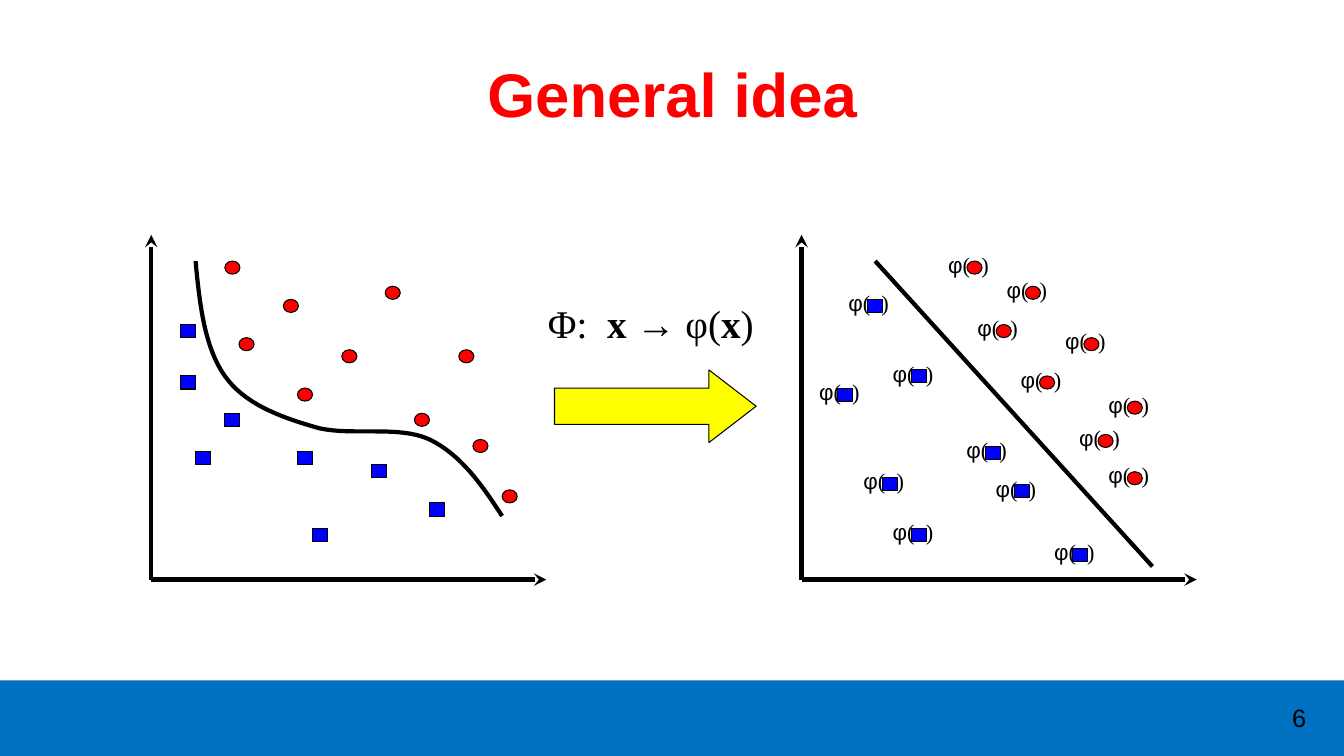
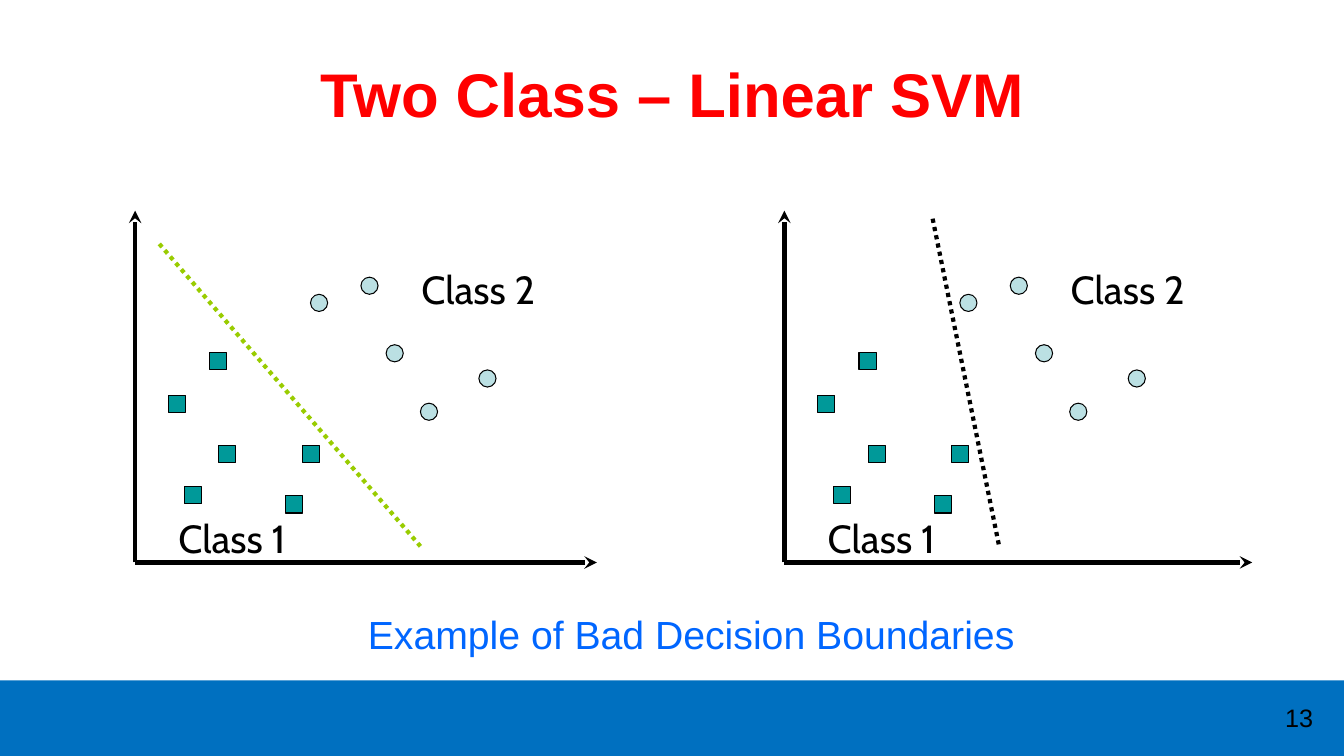
from lxml import etree
from pptx import Presentation
from pptx.dml.color import RGBColor
from pptx.enum.dml import MSO_LINE
from pptx.enum.shapes import MSO_CONNECTOR, MSO_SHAPE
from pptx.enum.text import MSO_ANCHOR, PP_ALIGN
from pptx.oxml.ns import qn
from pptx.util import Inches, Pt

STRAIGHT = MSO_CONNECTOR.STRAIGHT
CIRCLE, SQUARE = MSO_SHAPE.OVAL, MSO_SHAPE.RECTANGLE
RIGHT_ARROW = MSO_SHAPE.RIGHT_ARROW
DOTTED = MSO_LINE.ROUND_DOT
LEFT, CENTER = PP_ALIGN.LEFT, PP_ALIGN.CENTER
TOP, MIDDLE = MSO_ANCHOR.TOP, MSO_ANCHOR.MIDDLE
SANS, SERIF, LABEL_FONT = "Arial", "Times New Roman", "Cabin"

COLORS = {
    "text": "000000", "title": "FF0000", "band": "0070C0",
    "red": "FF0000", "blue": "0000FF", "yellow": "FFFF00",
    "pale": "BBE0E3", "teal": "009999", "green": "99CC00", "caption": "0066FF",
}

IDEA_SIZE = (0.15, 0.13)
CLASS_SIZE = (0.17, 0.17)
INPUT_CIRCLES = [
    (2.23, 2.59), (2.81, 2.97), (3.39, 3.47), (3.82, 2.84), (4.55, 3.47),
    (2.37, 3.35), (2.95, 3.85), (4.11, 4.1), (4.69, 4.36), (4.98, 4.86),
]
INPUT_SQUARES = [
    (1.79, 3.22), (1.79, 3.73), (2.23, 4.1), (1.94, 4.48),
    (2.95, 4.48), (3.68, 4.61), (4.26, 4.99), (3.1, 5.24),
]
MAPPED_SQUARES = [
    (8.6, 2.97), (9.04, 3.67), (9.77, 4.43), (10.06, 4.81),
    (8.75, 4.74), (8.31, 3.85), (10.64, 5.44), (9.04, 5.24),
]
MAPPED_CIRCLES = [
    (10.75, 3.35), (9.59, 2.59), (10.31, 3.73), (9.88, 3.22),
    (10.17, 2.84), (11.18, 4.68), (11.18, 3.98), (10.89, 4.31),
]
CLASS_CIRCLES = [(3.58, 2.75), (3.83, 3.42), (4.75, 3.67), (3.08, 2.92), (4.17, 4)]
CLASS_SQUARES = [
    (1.67, 3.92), (3, 4.42), (2.83, 4.92), (2.17, 4.42), (1.83, 4.83), (2.08, 3.5),
]
BOUNDARY_CURVE = [
    (1.94, 2.59), (1.98, 3.02), (2.03, 3.45), (2.23, 3.73), (2.42, 4),
    (2.76, 4.13), (3.1, 4.23), (3.43, 4.34), (3.94, 4.21), (4.26, 4.36),
    (4.57, 4.51), (4.78, 4.81), (4.98, 5.12),
]


def rgb(name):
    return RGBColor.from_string(COLORS[name])


def add_text(page, spans, at, size=28, font=SANS, color="text", bold=False,
             align=LEFT, anchor=TOP, wrap=True):
    box = page.shapes.add_textbox(*map(Inches, at))
    frame = box.text_frame
    frame.word_wrap = wrap
    frame.vertical_anchor = anchor
    para = frame.paragraphs[0]
    para.alignment = align
    if isinstance(spans, str):
        spans = [(spans, {})]
    for text, style in spans:
        span = para.add_run()
        span.text = text
        span.font.size = Pt(size)
        span.font.name = style.get("font", font)
        span.font.bold = style.get("bold", bold)
        span.font.color.rgb = rgb(color)
        if "spacing" in style:
            span.font._element.set("spc", str(style["spacing"] * 100))


def add_shape(page, kind, at, fill, outlined=True):
    shape = page.shapes.add_shape(kind, *map(Inches, at))
    shape.shadow.inherit = False
    shape.fill.solid()
    shape.fill.fore_color.rgb = rgb(fill)
    if outlined:
        shape.line.color.rgb = rgb("text")
        shape.line.width = Pt(0.75)
    else:
        shape.line.fill.background()
    return shape


def add_line(page, start, end, color="text", dash=None, arrow=False):
    line = page.shapes.add_connector(STRAIGHT, *map(Inches, (*start, *end)))
    line.line.color.rgb = rgb(color)
    line.line.width = Pt(3)
    if dash:
        line.line.dash_style = dash
    if arrow:
        etree.SubElement(line.line._get_or_add_ln(), qn("a:tailEnd"), type="stealth")
    etree.SubElement(line._element.spPr, qn("a:effectLst"))


def add_axes(page, origin, top, right):
    left, bottom = origin
    add_line(page, origin, (left, top), arrow=True)
    add_line(page, origin, (right, bottom), arrow=True)


def add_markers(page, kind, points, size, fill, shift=0, mapped=False):
    for left, top in points:
        add_shape(page, kind, (left + shift, top, *size), fill)
        if mapped:
            spans = [("φ", {"font": SANS}), ("(", {}), (" ", {"spacing": 4}), (")", {})]
            add_text(page, spans, (left - 0.5, top - 0.15, 1.03, 0.56),
                     size=16, font=SERIF, align=CENTER, wrap=False)


def bezier_point(controls, t):
    weights = ((1 - t) ** 3, 3 * t * (1 - t) ** 2, 3 * t ** 2 * (1 - t), t ** 3)
    return tuple(Inches(sum(w * point[axis] for w, point in zip(weights, controls)))
                 for axis in (0, 1))


def add_curve(page, controls, steps=16):
    points = [bezier_point(controls[i:i + 4], step / steps)
              for i in range(0, len(controls) - 1, 3) for step in range(1, steps + 1)]
    builder = page.shapes.build_freeform(*map(Inches, controls[0]))
    builder.add_line_segments(points, close=False)
    curve = builder.convert_to_shape()
    curve.shadow.inherit = False
    curve.fill.background()
    curve.line.color.rgb = rgb("text")
    curve.line.width = Pt(3)


def add_page(deck, title, number):
    page = deck.slides.add_slide(deck.slide_layouts[6])
    add_shape(page, SQUARE, (0, 6.75, 13.33, 0.75), "band", outlined=False)
    add_text(page, number, (12.44, 6.92, 0.89, 0.4), size=18, align=CENTER)
    add_text(page, title, (0.67, 0.3, 12, 1.25), size=44, color="title",
             bold=True, align=CENTER, anchor=MIDDLE)
    return page


def add_general_idea(deck):
    page = add_page(deck, "General idea", "6")
    add_curve(page, BOUNDARY_CURVE)
    for left in (1.5, 7.95):
        add_axes(page, (left, 5.75), 2.33, left + 3.92)
    add_line(page, (8.68, 2.59), (11.43, 5.62))
    add_markers(page, CIRCLE, INPUT_CIRCLES, IDEA_SIZE, "red")
    add_markers(page, SQUARE, INPUT_SQUARES, IDEA_SIZE, "blue")
    add_markers(page, SQUARE, MAPPED_SQUARES, IDEA_SIZE, "blue", mapped=True)
    add_markers(page, CIRCLE, MAPPED_CIRCLES, IDEA_SIZE, "red", mapped=True)
    arrow = add_shape(page, RIGHT_ARROW, (5.5, 3.67, 2, 0.72), "yellow")
    arrow.adjustments[1] = 0.65
    bold = {"bold": True}
    spans = [("Φ:", {}), (" ", {"spacing": 7}), ("x → ", bold),
             ("φ(", {}), ("x", bold), (")", {})]
    add_text(page, spans, (5.16, 2.92, 2.59, 0.57), font=SERIF, align=CENTER)


def add_linear_svm(deck):
    page = add_page(deck, "Two Class – Linear SVM", "13")
    plots = [
        (0, 5.92, (1.58, 2.42), (4.17, 5.42), "green"),
        (6.44, 12.42, (9.25, 2.17), (9.91, 5.42), "text"),
    ]
    for shift, right, start, end, color in plots:
        add_axes(page, (1.34 + shift, 5.58), 2.09, right)
        add_markers(page, CIRCLE, CLASS_CIRCLES, CLASS_SIZE, "pale", shift)
        add_markers(page, SQUARE, CLASS_SQUARES, CLASS_SIZE, "teal", shift)
        for label, left, top in (("Class 1", 1.67, 5.05), ("Class 2", 4.08, 2.58)):
            add_text(page, label, (left + shift, top, 1.42, 0.57),
                     font=LABEL_FONT, wrap=False)
        add_line(page, start, end, color, dash=DOTTED)
    add_text(page, "Example of Bad Decision Boundaries", (3.55, 6.01, 6.7, 0.57),
             color="caption", wrap=False)


def main():
    deck = Presentation()
    deck.slide_width, deck.slide_height = Inches(13.33), Inches(7.5)
    add_general_idea(deck)
    add_linear_svm(deck)
    deck.save("out.pptx")


if __name__ == "__main__":
    main()
